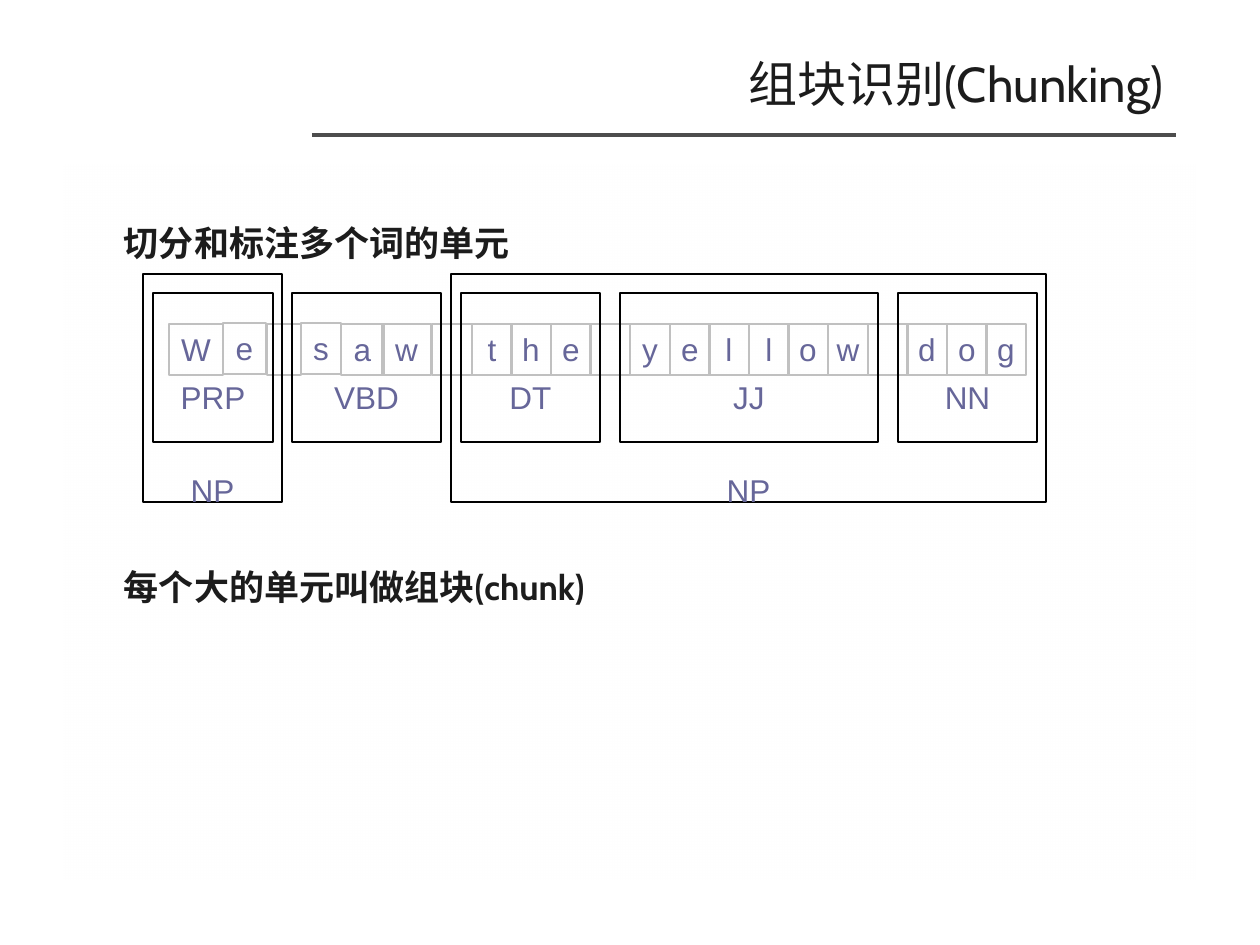
from lxml.etree import SubElement
from pptx import Presentation
from pptx.dml.color import RGBColor
from pptx.enum.shapes import MSO_CONNECTOR as Connector, MSO_SHAPE as Shape
from pptx.enum.text import MSO_ANCHOR as Anchor, MSO_AUTO_SIZE as AutoSize, PP_ALIGN as Align
from pptx.oxml.ns import qn
from pptx.util import Emu, Pt

COLORS = {"ink": "1C1C1C", "label": "666699", "cell": "C0C0C0",
          "frame": "000000", "rule": "4D4D4D", "panel": "FFFFFF"}

TITLE = "组块识别(Chunking)"
POINTS = ["切分和标注多个词的单元", "每个大的单元叫做组块(chunk)"]

# The first cells are uneven: letter, left, top, width
UNEVEN_CELLS = [("W", 169, 324, 54), ("e", 223, 323, 43), ("", 267, 324, 34),
                ("s", 301, 323, 40), ("a", 341, 324, 43), ("w", 382, 324, 49)]
EVEN_LETTERS = " the yellow dog"
EVEN_LEFT, EVEN_TOP, EVEN_PITCH, CELL_WIDTH, CELL_HEIGHT = 432, 324, 39.6, 40, 51

# Label, left, width
TAGS = [("PRP", 153, 120), ("VBD", 292, 149), ("DT", 461, 139),
        ("JJ", 620, 258), ("NN", 898, 139)]
CHUNKS = [("NP", 143, 139), ("NP", 451, 595)]
TAG_TOP, TAG_HEIGHT, TAG_TEXT_TOP = 293, 149, 85
CHUNK_TOP, CHUNK_HEIGHT, CHUNK_TEXT_TOP = 274, 228, 197


def px(count):
    return Emu(round(count * 914400 / 126))


def rgb(name):
    return RGBColor.from_string(COLORS[name])


def place(shape, left, top, width, height):
    shape.left, shape.top = px(left), px(top)
    shape.width, shape.height = px(width), px(height)


def write(para, text, size, color, font, bold=False, align=Align.LEFT):
    para.alignment = align
    span = para.add_run()
    span.text = text
    span.font.size, span.font.name, span.font.bold = Pt(size), font, bold
    span.font.color.rgb = rgb(color)


def add_frame(page, text, left, top, width, height, color, text_top):
    """Add an unfilled hairline box whose label starts text_top below its top."""
    box = page.shapes.add_shape(Shape.RECTANGLE, px(left), px(top), px(width), px(height))
    box.shadow.inherit = False
    box.fill.background()
    box.line.color.rgb = rgb(color)
    box.line.width = Pt(0)
    if text:
        frame = box.text_frame
        frame.word_wrap = False
        frame.vertical_anchor = Anchor.TOP
        frame.margin_top, frame.margin_bottom = px(text_top), 0
        write(frame.paragraphs[0], text, 18, "label", "Arial", align=Align.CENTER)


def add_backdrop(page):
    panel = page.shapes.add_shape(Shape.RECTANGLE, px(64), px(165), px(1132), px(724))
    panel.shadow.inherit = False
    panel.line.fill.background()
    panel.fill.gradient()
    panel.fill.gradient_angle = 270
    for stop in panel.fill.gradient_stops:
        stop.color.rgb = rgb("panel")
    for color, alpha in zip(panel.fill._xPr.iter(qn("a:srgbClr")), (40000, 0)):
        SubElement(color, qn("a:alpha"), val=str(alpha))

    rule = page.shapes.add_connector(Connector.STRAIGHT, px(312), px(135), px(1176), px(135))
    rule.line.color.rgb = rgb("rule")
    rule.line.width = Pt(0)
    SubElement(rule._element.spPr, qn("a:effectLst"))


def add_title(page):
    title = page.shapes.title
    place(title, 87, 44, 1089, 78)
    title.text_frame.vertical_anchor = Anchor.MIDDLE
    title.text_frame.auto_size = AutoSize.NONE
    write(title.text_frame.paragraphs[0], TITLE, 28, "ink", "Cabin", align=Align.RIGHT)


def add_points(page):
    frame = page.shapes.add_textbox(px(63), px(194), px(1134), px(702)).text_frame
    frame.word_wrap = True
    frame.margin_left = px(61)
    for index, text in enumerate(POINTS):
        para = frame.add_paragraph() if index else frame.paragraphs[0]
        para.line_spacing = 1.5
        if index:
            para.space_before = Pt(161)
        write(para, text, 20, "ink", "Cabin", bold=True)


def main():
    deck = Presentation()
    deck.slide_width, deck.slide_height = px(1260), px(945)
    page = deck.slides.add_slide(deck.slide_layouts[5])
    add_backdrop(page)
    add_title(page)
    add_points(page)

    even_cells = [(letter.strip(), EVEN_LEFT + round(index * EVEN_PITCH), EVEN_TOP, CELL_WIDTH)
                  for index, letter in enumerate(EVEN_LETTERS)]
    for letter, left, top, width in UNEVEN_CELLS + even_cells:
        add_frame(page, letter, left, top, width, CELL_HEIGHT, "cell", 6)
    for label, left, width in TAGS:
        add_frame(page, label, left, TAG_TOP, width, TAG_HEIGHT, "frame", TAG_TEXT_TOP)
    for label, left, width in CHUNKS:
        add_frame(page, label, left, CHUNK_TOP, width, CHUNK_HEIGHT, "frame", CHUNK_TEXT_TOP)
    deck.save("out.pptx")


if __name__ == "__main__":
    main()
